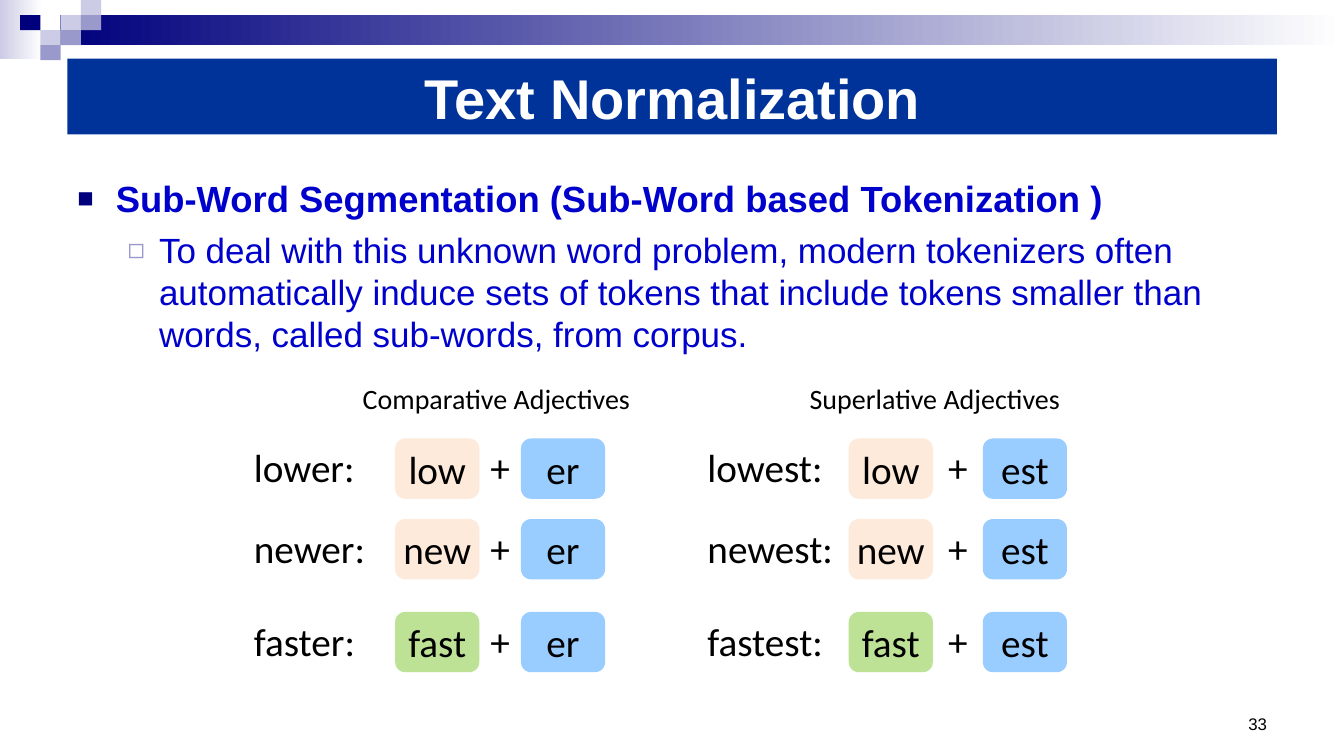
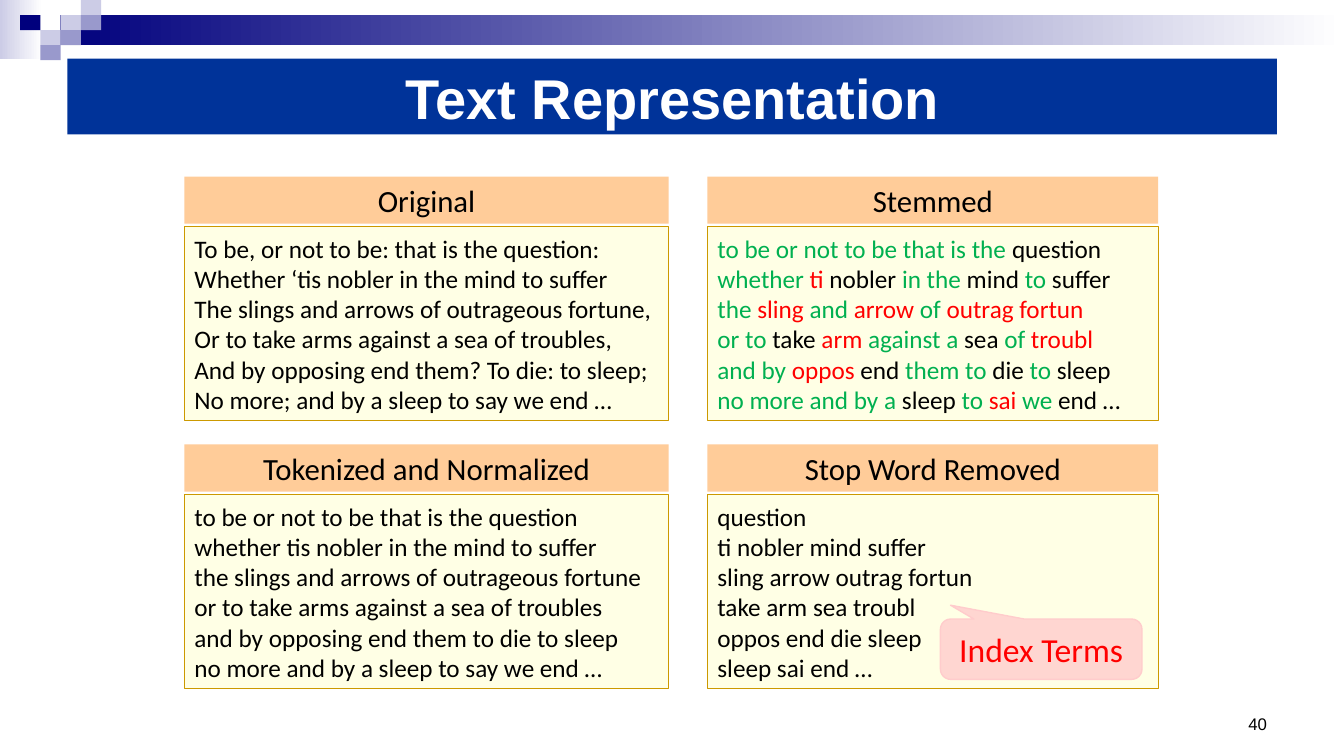
from itertools import groupby
from lxml import etree
from pptx import Presentation
from pptx.dml.color import RGBColor
from pptx.enum.shapes import MSO_SHAPE
from pptx.enum.text import MSO_ANCHOR, MSO_AUTO_SIZE, PP_ALIGN
from pptx.oxml.ns import qn
from pptx.util import Cm, Pt

# Shared look
NAVY, MID, PALE = "00007D", "9999CC", "CCCCE6"
BAR, BLUE, WHITE, BLACK = "003399", "0000CC", "FFFFFF", "000000"
PEACH, SKY, LIME = "FDEADA", "99CCFF", "92D050"
HEAD, CREAM, GOLD, PINK = "FFCC99", "FFFFCC", "CC9900", "FFCCCC"
GREEN, RED = "00B050", "FF0000"
STEP, RISE = 0.51, 0.38
BANDS = [((0, 0, 1.07, 1.48), PALE), ((1.52, 0.38, 32.35, 0.76), NAVY)]
TILES = [(3, 1, PALE), (4, 0, PALE), (4, 1, MID), (2, 2, PALE),
         (1, 1, NAVY), (3, 2, MID), (2, 3, MID)]
FRAME = {"word_wrap": True, "auto_size": MSO_AUTO_SIZE.NONE,
         "vertical_anchor": MSO_ANCHOR.MIDDLE}
LEFT, MIDDLE, RIGHT = PP_ALIGN.LEFT, PP_ALIGN.CENTER, PP_ALIGN.RIGHT

# Slide 1: text, indents in cm, bullet, bullet colour and size
POINTS = [
    ("Sub-Word Segmentation (Sub-Word based Tokenization )",
     26, True, 0.97, 0.97, "■", NAVY, 75),
    ("To deal with this unknown word problem, modern tokenizers often "
     "automatically induce sets of tokens that include tokens smaller than "
     "words, called sub-words, from corpus.",
     25, False, 2.06, 0.79, "◻", MID, 80),
]
ROOTS = [("low", 11.05, PEACH, 100), ("new", 13.08, PEACH, 100),
         ("fast", 15.42, LIME, 60)]
# heading, its left, ending, left of label, root and ending
FORMS = [("Comparative Adjectives", 8.8, "er", 6.15, 9.96, 13.13),
         ("Superlative Adjectives", 19.85, "est", 17.58, 21.39, 24.77)]
CHIP = (2.12, 1.52)

# Slide 2: panels by column, top to bottom
COLS = [(4.65, 12.2), (17.83, 11.36)]
TOPS = [4.45, 11.2]
PANELS = [
    [("Original", [
        "To be, or not to be: that is the question:",
        "Whether ‘tis nobler in the mind to suffer",
        "The slings and arrows of outrageous fortune,",
        "Or to take arms against a sea of troubles,",
        "And by opposing end them? To die: to sleep;",
        "No more; and by a sleep to say we end …"]),
     ("Tokenized and Normalized", [
        "to be or not to be that is the question",
        "whether tis nobler in the mind to suffer",
        "the slings and arrows of outrageous fortune",
        "or to take arms against a sea of troubles",
        "and by opposing end them to die to sleep",
        "no more and by a sleep to say we end …"])],
    [("Stemmed", [
        "to be or not to be that is the question",
        "whether ti nobler in the mind to suffer",
        "the sling and arrow of outrag fortun",
        "or to take arm against a sea of troubl",
        "and by oppos end them to die to sleep",
        "no more and by a sleep to sai we end …"]),
     ("Stop Word Removed", [
        "question",
        "ti nobler mind suffer",
        "sling arrow outrag fortun",
        "take arm sea troubl",
        "oppos end die sleep",
        "sleep sai end …"])],
]
STOPS = set("to be or not that is the whether in and of against a by "
            "them no more we".split())
STEMS = set("ti sling arrow outrag fortun arm troubl oppos sai".split())


def rgb(code):
    return RGBColor.from_string(code)


def apply(item, vals):
    for name, val in vals.items():
        setattr(item, name, val)


def paint(shape, fill, line=None, alpha=100, width=0.75):
    shape.fill.solid()
    shape.fill.fore_color.rgb = rgb(fill)
    if alpha < 100:
        tone = shape.fill._xPr.find(qn("a:solidFill"))[0]
        etree.SubElement(tone, qn("a:alpha"), val=str(alpha * 1000))
    if line:
        shape.line.color.rgb = rgb(line)
        shape.line.width = Pt(width)
    else:
        shape.line.fill.background()


def block(slide, box, fill, kind=MSO_SHAPE.RECTANGLE, **look):
    shape = slide.shapes.add_shape(kind, *map(Cm, box))
    shape.shadow.inherit = False
    paint(shape, fill, **look)
    return shape


def label(slide, box):
    return slide.shapes.add_textbox(*map(Cm, box))


def write(shape, lines, size, color=BLACK, font="Calibri", bold=False,
          align=LEFT, **frame):
    """Fill a shape; a line is a string or a list of (text, colour) runs."""
    text = shape.text_frame
    apply(text, {**FRAME, **frame})
    for num, line in enumerate(lines):
        para = text.add_paragraph() if num else text.paragraphs[0]
        para.alignment = align
        for part, tint in [(line, color)] if isinstance(line, str) else line:
            run = para.add_run()
            run.text = part
            apply(run.font, {"size": Pt(size), "name": font, "bold": bold})
            run.font.color.rgb = rgb(tint)


def bullet(para, left, hang, mark, color, size):
    props = para._p.get_or_add_pPr()
    props.set("marL", str(Cm(left)))
    props.set("indent", str(-Cm(hang)))
    tone = etree.SubElement(props, qn("a:buClr"))
    etree.SubElement(tone, qn("a:srgbClr"), val=color)
    etree.SubElement(props, qn("a:buSzPct"), val=str(size * 1000))
    etree.SubElement(props, qn("a:buFont"), typeface="Arial")
    etree.SubElement(props, qn("a:buChar"), char=mark)


def tint(word):
    return GREEN if word in STOPS else RED if word in STEMS else BLACK


def mark(line):
    runs = [(" ".join(words), color)
            for color, words in groupby(line.split(), tint)]
    return [(part + " ", color) for part, color in runs[:-1]] + runs[-1:]


def adorn(slide):
    """Draw the top band and move it to the layout."""
    parts = []
    for box, color in BANDS:
        band = block(slide, box, color)
        band.fill.gradient()
        band.fill.gradient_angle = 0
        for stop, code in zip(band.fill.gradient_stops, (color, WHITE)):
            stop.color.rgb = rgb(code)
        parts.append(band)
    for col, row, color in TILES:
        parts.append(block(slide, (col * STEP, row * RISE, STEP, RISE), color))
    for part in parts:
        slide.slide_layout.shapes.element.append(part.element)


def start(deck, name, page):
    slide = deck.slides.add_slide(deck.slide_layouts[5])
    title = slide.shapes.title
    apply(title, {"left": Cm(1.7), "top": Cm(1.48),
                  "width": Cm(30.73 - 0.25), "height": Cm(1.91)})
    paint(title, BAR)
    write(title, [name], 40, WHITE, "Arial", True, MIDDLE)
    write(label(slide, (28.22, 17.35, 3.96, 1.27)), [page], 12,
          font="Arial", align=RIGHT, vertical_anchor=MSO_ANCHOR.BOTTOM)
    return slide


def segment(slide):
    # Bullets
    body = label(slide, (1.7, 4.32, 30.48, 5))
    write(body, [[(point[0], BLUE)] for point in POINTS], 26, font="Arial",
          vertical_anchor=MSO_ANCHOR.TOP)
    for para, point in zip(body.text_frame.paragraphs, POINTS):
        _, size, bold, *rest = point
        para.space_before = Pt(6)
        apply(para.runs[0].font, {"size": Pt(size), "bold": bold})
        bullet(para, *rest)
    # Word sums
    wide, high = CHIP
    for head, at, end, left, one, two in FORMS:
        write(label(slide, (at, 9.47, 7.42, 1.12)), [head], 20, align=MIDDLE)
        for root, top, fill, alpha in ROOTS:
            write(label(slide, (left, top, 3.81, 1.45)), [root + end + ":"], 28)
            gap = one + wide
            write(label(slide, (gap, top, two - gap, 1.45)), ["+"], 28,
                  align=MIDDLE, margin_left=0, margin_right=0)
            for x, word, color, clear in ((one, root, fill, alpha),
                                          (two, end, SKY, 100)):
                chip = block(slide, (x, top, wide, high), color,
                             MSO_SHAPE.ROUNDED_RECTANGLE, alpha=clear)
                write(chip, [word], 28, align=MIDDLE, word_wrap=False)


def compare(slide):
    # Panels
    for (left, wide), stack in zip(COLS, PANELS):
        for top, (head, lines) in zip(TOPS, stack):
            body = block(slide, (left, top + 1.27, wide, 4.88), CREAM,
                         line=GOLD, alpha=50)
            marked = head == "Stemmed"
            write(body, [mark(s) for s in lines] if marked else lines, 18)
            write(block(slide, (left, top, wide, 1.19), HEAD), [head], 22,
                  align=MIDDLE)
    # Callout
    note = block(slide, (23.7, 15.6, 5.08, 1.52), PINK,
                 MSO_SHAPE.ROUNDED_RECTANGULAR_CALLOUT,
                 line=PINK, alpha=80, width=1)
    for num, val in enumerate((-0.45, -0.73, 0.17)):
        note.adjustments[num] = val
    write(note, ["Index Terms"], 24, RED, align=MIDDLE)


def main():
    deck = Presentation()
    apply(deck, {"slide_width": Cm(33.87), "slide_height": Cm(19.05)})
    first = start(deck, "Text Normalization", "33")
    adorn(first)
    segment(first)
    compare(start(deck, "Text Representation", "40"))
    deck.save("out.pptx")


if __name__ == "__main__":
    main()
